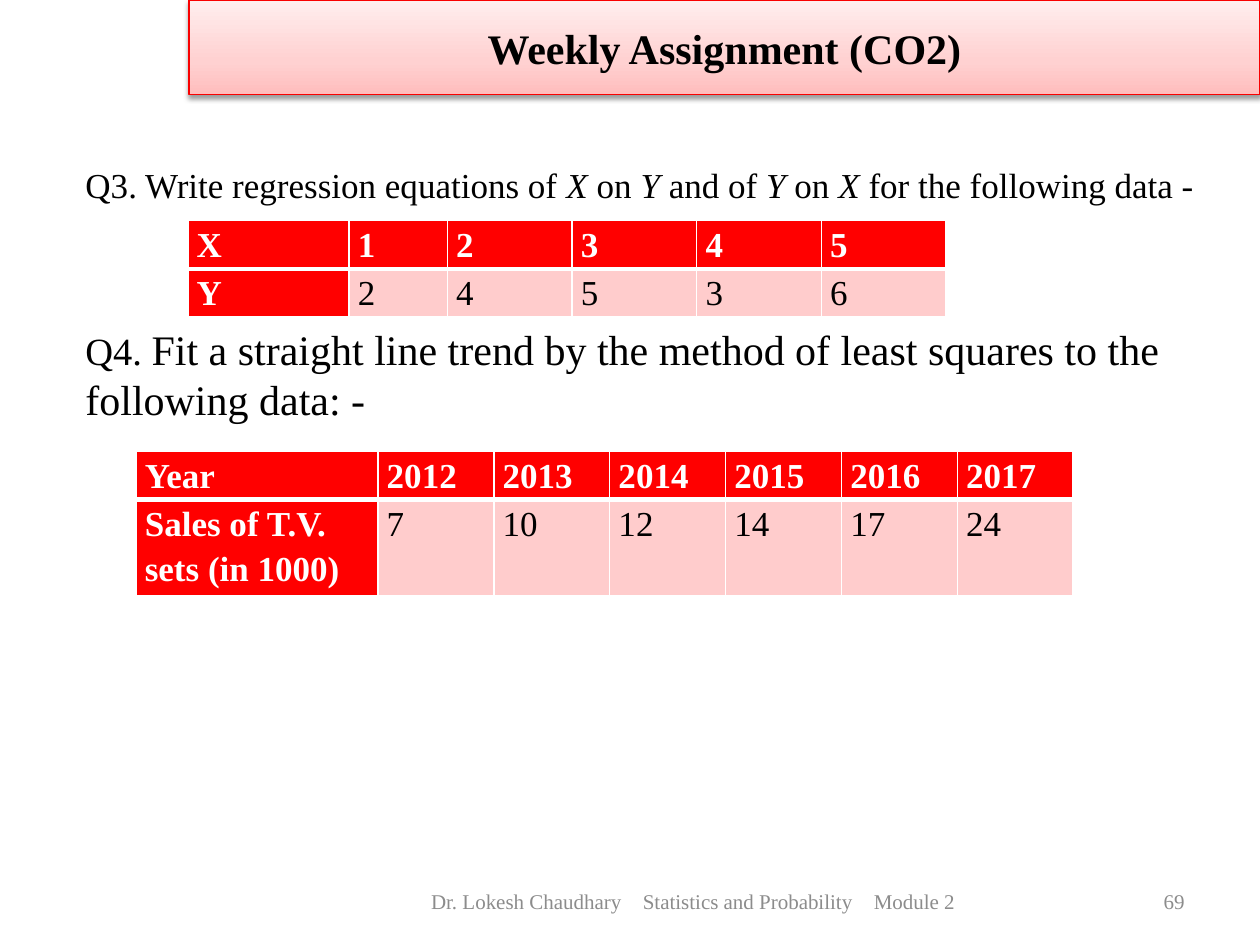
"""Build the weekly assignment slide with two questions and their data tables."""
from lxml import etree
from pptx import Presentation
from pptx.dml.color import RGBColor
from pptx.enum.shapes import MSO_SHAPE
from pptx.enum.text import MSO_ANCHOR, PP_ALIGN
from pptx.oxml import parse_xml
from pptx.util import Inches, Pt

RECT = MSO_SHAPE.RECTANGLE
TOP, MIDDLE = MSO_ANCHOR.TOP, MSO_ANCHOR.MIDDLE
LEFT, CENTER, RIGHT = PP_ALIGN.LEFT, PP_ALIGN.CENTER, PP_ALIGN.RIGHT
FONT = "Times New Roman"
NS = 'xmlns:a="http://schemas.openxmlformats.org/drawingml/2006/main"'
COLORS = {"text": "000000", "muted": "8C8C8C", "white": "FFFFFF", "header": "FF0000",
          "cell": "FFCCCC", "banner_line": "F90000"}
BANNER_STOPS = [(0, "FFBDBD"), (35, "FFD1D1"), (100, "FFEEEE")]

TITLE = "Weekly Assignment (CO2)"
Q3 = ["Q3. Write regression equations of ", "X ", "on ", "Y ", "and of ", "Y ", "on ", "X ",
      "for the following data -"]
Q4 = [("Q4. ", 22),
      ("Fit a straight line trend by the method of least squares to the following data: -", 24)]
FOOTER = ["Dr. Lokesh Chaudhary", "Statistics and Probability", "Module 2"]
PAGE = "69"
TABLES = [
    {"at": (1.49, 1.75), "cols": [1.28, 0.78] + [0.99] * 4, "rows": [0.36, 0.35],
     "data": [["X", "1", "2", "3", "4", "5"], ["Y", "2", "4", "5", "3", "6"]]},
    {"at": (1.08, 3.58), "cols": [1.92] + [0.92] * 6, "rows": [0.36, 0.73],
     "data": [["Year", "2012", "2013", "2014", "2015", "2016", "2017"],
              ["Sales of T.V. sets (in 1000)", "7", "10", "12", "14", "17", "24"]]},
]


def rgb(name):
    return RGBColor.from_string(COLORS[name])


def style(p, size, color="text", bold=False, align=LEFT):
    p.alignment = align
    p.font.name, p.font.size, p.font.bold = FONT, Pt(size), bold
    p.font.color.rgb = rgb(color)


def add_run(p, text):
    r = p.add_run()
    r.text = text
    return r


def add_box(s, x, y, w, h, anchor):
    tf = s.shapes.add_textbox(Inches(x), Inches(y), Inches(w), Inches(h)).text_frame
    tf.word_wrap = True
    tf.vertical_anchor = anchor
    return tf


def add_banner(s):
    sp = s.shapes.add_shape(RECT, Inches(1.5), 0, Inches(8.5), Inches(0.75))
    sp.line.color.rgb = rgb("banner_line")
    sp.line.width = Pt(0.75)
    sp.shadow.inherit = False
    stops = "".join(f'<a:gs pos="{pos * 1000}"><a:srgbClr val="{c}"/></a:gs>'
                    for pos, c in BANNER_STOPS)
    sp._element.spPr.insert(2, parse_xml(
        f'<a:gradFill {NS} rotWithShape="1"><a:gsLst>{stops}</a:gsLst>'
        '<a:lin ang="16200000" scaled="0"/></a:gradFill>'))
    sp._element.spPr[-1].append(parse_xml(
        f'<a:outerShdw {NS} blurRad="{Pt(3.1)}" dist="{Pt(1.6)}" dir="5400000" rotWithShape="0">'
        '<a:srgbClr val="000000"><a:alpha val="38000"/></a:srgbClr></a:outerShdw>'))
    tf = sp.text_frame
    tf.vertical_anchor = MIDDLE
    p = tf.paragraphs[0]
    p.text = TITLE
    style(p, 24, bold=True, align=CENTER)


def add_questions(s):
    tf = add_box(s, 0.58, 1.25, 9, 4.95, TOP)
    p = tf.paragraphs[0]
    style(p, 20)
    p.space_before = Pt(4)
    for i, text in enumerate(Q3):
        add_run(p, text).font.italic = i % 2 == 1
    p = tf.add_paragraph()
    style(p, 24)
    p.space_before = Pt(67)
    for text, size in Q4:
        add_run(p, text).font.size = Pt(size)


def add_footer(s):
    p = add_box(s, 2.75, 6.95, 5.5, 0.4, MIDDLE).paragraphs[0]
    style(p, 12, "muted", align=CENTER)
    for i, text in enumerate(FOOTER):
        if i:
            add_run(p, " ")._r.get_or_add_rPr().set("spc", "900")
        add_run(p, text)
    p = add_box(s, 7.17, 6.95, 2.33, 0.4, MIDDLE).paragraphs[0]
    p.text = PAGE
    style(p, 12, "muted", align=RIGHT)


def set_borders(cell, widths):
    tcPr = cell._tc.get_or_add_tcPr()
    for side, width in widths.items():
        tcPr.append(etree.fromstring(
            f'<a:ln{side} {NS} w="{Pt(width)}"><a:solidFill>'
            f'<a:srgbClr val="{COLORS["white"]}"/></a:solidFill></a:ln{side}>'))


def add_data_table(s, at, cols, rows, data):
    x, y = at
    table = s.shapes.add_table(len(rows), len(cols), Inches(x), Inches(y),
                               Inches(sum(cols)), Inches(sum(rows))).table
    table.first_col = True
    table.horz_banding = False
    for col, w in zip(table.columns, cols):
        col.width = Inches(w)
    for i, h in enumerate(rows):
        table.rows[i].height = Inches(h)
        for j, text in enumerate(data[i]):
            cell = table.cell(i, j)
            head = i == 0 or j == 0
            set_borders(cell, {"L": 1, "R": 1, "T": 1 if i == 0 else 3, "B": 3 if i == 0 else 1})
            cell.fill.solid()
            cell.fill.fore_color.rgb = rgb("header" if head else "cell")
            cell.margin_left = cell.margin_right = Inches(0.07)
            cell.margin_top = cell.margin_bottom = 0
            p = cell.text_frame.paragraphs[0]
            p.text = text
            p.line_spacing = 1.15
            style(p, 20, "white" if head else "text", bold=head)


def main():
    prs = Presentation()
    prs.slide_width, prs.slide_height = Inches(10), Inches(7.5)
    s = prs.slides.add_slide(prs.slide_layouts[6])
    add_questions(s)
    add_footer(s)
    add_banner(s)
    for table in TABLES:
        add_data_table(s, **table)
    prs.save("out.pptx")


if __name__ == "__main__":
    main()
